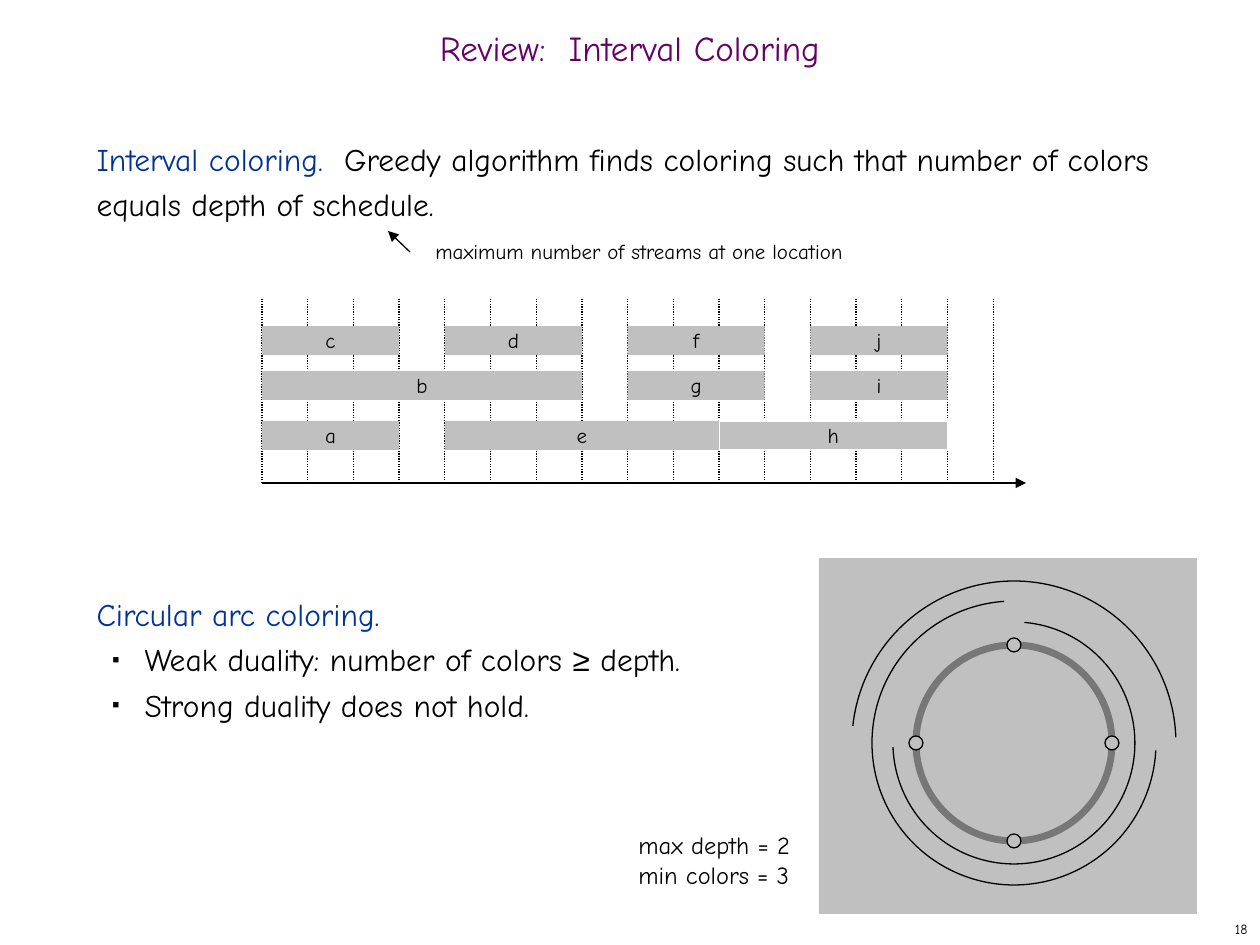
import math

import pptx
import pptx.dml.color
import pptx.enum.dml
import pptx.enum.shapes
import pptx.enum.text
import pptx.oxml
import pptx.oxml.ns
import pptx.util

SHAPE = pptx.enum.shapes.MSO_SHAPE
ALIGN = pptx.enum.text.PP_ALIGN
ANCHOR = pptx.enum.text.MSO_ANCHOR
FONT = "Comic Neue"
BLACK, GRAY, RING, BLUE, PURPLE, WHITE = "000000", "C0C0C0", "777777", "003399", "660066", "FFFFFF"

TITLE = "Review:  Interval Coloring"
# (spans, bulleted, space before in points); a span is (text, colour, font)
BODY = [
    ([("Interval coloring.  ", BLUE, FONT),
      ("Greedy algorithm finds coloring such that number of colors equals depth of schedule.",
       BLACK, FONT)], False, 0),
    ([("Circular arc coloring.", BLUE, FONT)], False, 208),
    ([("Weak duality: number of colors ", BLACK, FONT), ("≥", BLACK, "Arial"),
      (" depth.", BLACK, FONT)], True, 0),
    ([("Strong duality does not hold.", BLACK, FONT)], True, 0),
]
# (text, left, top, width, height, points, alignment, anchor)
NOTES = [
    ("maximum number of streams at one location", 423, 232, 434, 38, 12, ALIGN.LEFT, ANCHOR.TOP),
    ("max depth = 2\vmin colors = 3", 626, 824, 178, 72, 14, ALIGN.LEFT, ANCHOR.TOP),
    ("18", 998, 913, 262, 32, 8, ALIGN.RIGHT, ANCHOR.MIDDLE),
]
# (label, row, first tick, last tick)
INTERVALS = [("h", 2, 10, 15), ("c", 0, 0, 3), ("a", 2, 0, 3), ("e", 2, 4, 10), ("f", 0, 8, 11),
             ("g", 1, 8, 11), ("i", 1, 12, 15), ("j", 0, 12, 15), ("d", 0, 4, 7), ("b", 1, 0, 7)]
ROW_TOPS, BAR_HEIGHT = [326, 371, 421], 29
TICKS, TICK_LEFT, TICK_STEP, TICK_TOP, AXIS_Y, AXIS_END = 17, 262, 45.7, 299, 483, 1026
CENTER, RING_RADIUS, NODE_RADIUS = (1014, 743), 98, 7
# (radius, start, end), clockwise degrees from the right
ARCS = [(162, 186, 358), (121, 275, 178), (142, 3, 266)]


def px(length):
    return pptx.util.Emu(round(length * 914400 / 126))


def color(hex_text):
    return pptx.dml.color.RGBColor.from_string(hex_text)


def style_text(span, points, hex_text=BLACK, name=FONT):
    span.font.size, span.font.name = pptx.util.Pt(points), name
    span.font.color.rgb = color(hex_text)


def place(item, left, top, width, height):
    item.left, item.top, item.width, item.height = map(px, (left, top, width, height))


def add_xml(parent, markup):
    """Append the elements in markup, which use the prefix a, to parent."""
    space = pptx.oxml.ns.nsdecls("a")
    parent.extend(list(pptx.oxml.parse_xml(f"<a:group {space}>{markup}</a:group>")))


def add_line(page, x1, y1, x2, y2, points=0.75, dotted=False, arrow=False):
    line = page.shapes.add_connector(pptx.enum.shapes.MSO_CONNECTOR.STRAIGHT,
                                     px(x1), px(y1), px(x2), px(y2))
    line.line.color.rgb = color(BLACK)
    line.line.width = pptx.util.Pt(points)
    if dotted:
        line.line.dash_style = pptx.enum.dml.MSO_LINE.ROUND_DOT
    if arrow:
        add_xml(line.line._get_or_add_ln(), '<a:tailEnd type="triangle"/>')
    add_xml(line._element.spPr, "<a:effectLst/>")


def add_figure(page, kind, left, top, width, height, fill=None, outline=None, points=0.75):
    figure = page.shapes.add_shape(kind, *map(px, (left, top, width, height)))
    figure.shadow.inherit = False
    if fill:
        figure.fill.solid()
        figure.fill.fore_color.rgb = color(fill)
    else:
        figure.fill.background()
    if outline:
        figure.line.color.rgb = color(outline)
        figure.line.width = pptx.util.Pt(points)
    else:
        figure.line.fill.background()
    return figure


def add_circle(page, x, y, radius, kind=SHAPE.OVAL, **look):
    return add_figure(page, kind, x - radius, y - radius, 2 * radius, 2 * radius, **look)


def fill_placeholders(page):
    title, body = page.shapes.title, page.placeholders[1]
    place(title, 0, 21, 1260, 63)
    title.text_frame.text = TITLE
    title.text_frame.vertical_anchor = ANCHOR.MIDDLE
    para = title.text_frame.paragraphs[0]
    para.alignment, para.line_spacing = ALIGN.CENTER, 0.7
    style_text(para.runs[0], 20, PURPLE)

    place(body, 84, 126, 1081, 746)
    frame = body.text_frame
    frame.auto_size = pptx.enum.text.MSO_AUTO_SIZE.NONE
    for index, (spans, bulleted, before) in enumerate(BODY):
        para = frame.add_paragraph() if index else frame.paragraphs[0]
        para.line_spacing = pptx.util.Pt(26)
        para.space_before = pptx.util.Pt(before)
        for text, hex_text, name in spans:
            span = para.add_run()
            span.text = text
            style_text(span, 18, hex_text, name)
        properties = para._p.get_or_add_pPr()
        if bulleted:
            para.level = 1
            properties.set("marL", str(int(px(48))))
            properties.set("indent", str(int(px(-32))))
            add_xml(properties, f'<a:buClr><a:srgbClr val="{BLACK}"/></a:buClr>'
                    '<a:buSzPct val="35000"/><a:buFont typeface="Arial"/><a:buChar char="■"/>')
        else:
            properties.set("marL", "0")
            properties.set("indent", "0")
            add_xml(properties, "<a:buNone/>")


def draw_schedule(page):
    for tick in range(TICKS):
        x = TICK_LEFT + tick * TICK_STEP
        add_line(page, x, AXIS_Y, x, TICK_TOP, dotted=True)
    add_line(page, TICK_LEFT, AXIS_Y, AXIS_END, AXIS_Y, 1.25, arrow=True)
    for label, row, first, last in INTERVALS:
        bar = add_figure(page, SHAPE.RECTANGLE, TICK_LEFT + first * TICK_STEP, ROW_TOPS[row],
                         (last - first) * TICK_STEP, BAR_HEIGHT, fill=GRAY,
                         outline=WHITE if label == "h" else None)
        frame = bar.text_frame
        frame.text, frame.word_wrap = label, False
        frame.vertical_anchor = ANCHOR.MIDDLE
        frame.paragraphs[0].alignment = ALIGN.CENTER
        style_text(frame.paragraphs[0].runs[0], 12)


def draw_ring(page):
    x, y = CENTER
    add_figure(page, SHAPE.RECTANGLE, 819, 558, 378, 356, fill=GRAY)
    add_circle(page, x, y, RING_RADIUS, fill=GRAY, outline=RING, points=4)
    for quarter in range(4):
        angle = quarter * math.pi / 2
        add_circle(page, x + RING_RADIUS * math.cos(angle), y + RING_RADIUS * math.sin(angle),
                   NODE_RADIUS, fill=GRAY, outline=BLACK)
    for radius, start, end in ARCS:
        arc = add_circle(page, x, y, radius, SHAPE.ARC, outline=BLACK)
        for index, degrees in enumerate((start, end)):
            arc.adjustments[index] = degrees * 0.6  # 60000 units a degree, scaled by 100000


def add_notes(page):
    for text, left, top, width, height, points, alignment, anchor in NOTES:
        box = page.shapes.add_textbox(*map(px, (left, top, width, height)))
        frame = box.text_frame
        frame.word_wrap, frame.vertical_anchor = True, anchor
        para = frame.paragraphs[0]
        para.text, para.alignment = text, alignment
        for span in para.runs:
            style_text(span, points)


def main():
    deck = pptx.Presentation()
    deck.slide_width, deck.slide_height = px(1260), px(945)
    page = deck.slides.add_slide(deck.slide_layouts[1])
    fill_placeholders(page)
    draw_schedule(page)
    add_line(page, 410, 252, 388, 231, arrow=True)
    draw_ring(page)
    add_notes(page)
    deck.save("out.pptx")


if __name__ == "__main__":
    main()
